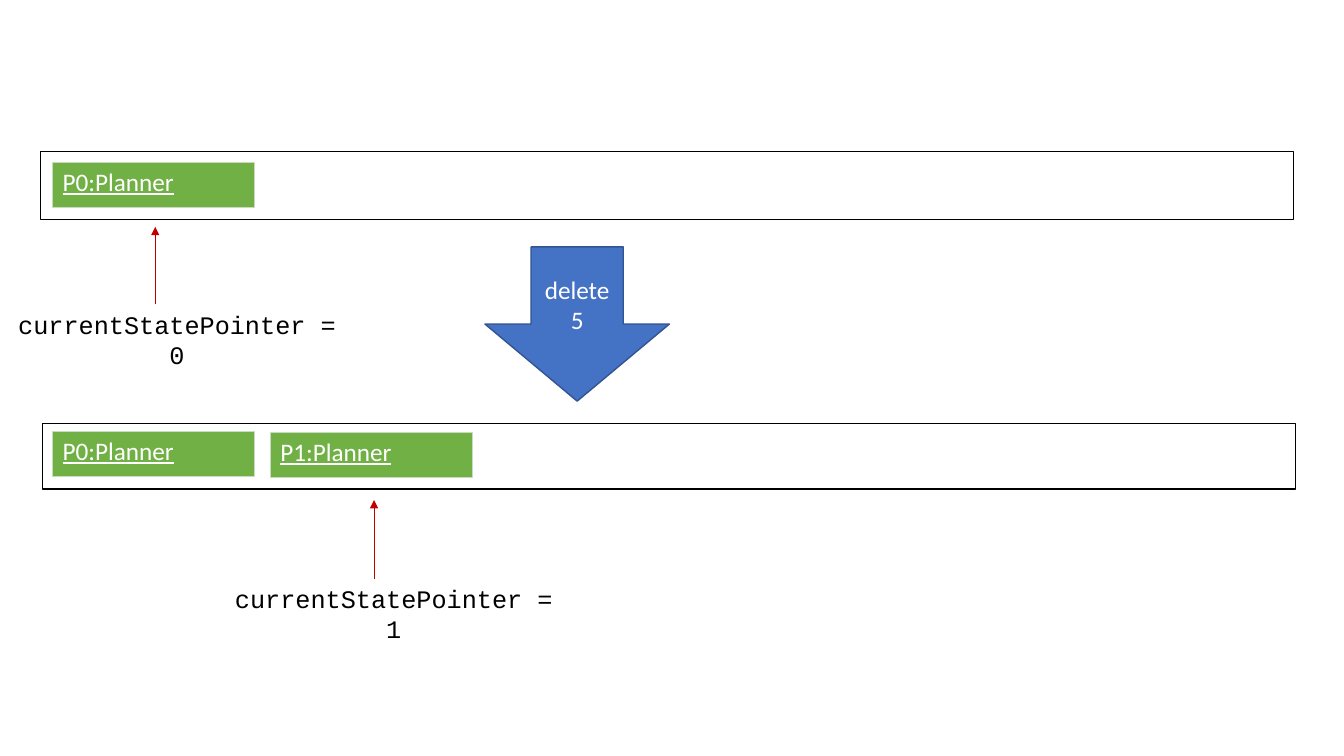
from dataclasses import dataclass

from lxml.etree import SubElement
from pptx import Presentation
from pptx.dml.color import RGBColor
from pptx.enum.shapes import MSO_CONNECTOR, MSO_SHAPE
from pptx.enum.text import MSO_ANCHOR, PP_ALIGN
from pptx.oxml.ns import qn
from pptx.util import Inches, Pt


@dataclass(frozen=True)
class Theme:
    body_font: str = "Calibri"
    code_font: str = "Courier New"
    text_size: float = 18
    black: str = "000000"
    white: str = "FFFFFF"
    state_fill: str = "70B044"
    state_border: str = "C9DBC1"
    command_fill: str = "4472C4"
    command_line: str = "325491"
    pointer: str = "C00000"
    line_width: float = 1
    thin_width: float = 0.5


class StateDiagram:
    def __init__(self, slide, theme):
        self.slide = slide
        self.theme = theme

    def style_text(self, paragraph, text, color, font_name, alignment):
        paragraph.text = text
        paragraph.alignment = alignment
        font = paragraph.font
        font.name = font_name
        font.size = Pt(self.theme.text_size)
        font.bold = False
        font.color.rgb = RGBColor.from_string(color)

    def shape(self, kind, box, line_color, fill_color=None):
        shape = self.slide.shapes.add_shape(kind, *map(Inches, box))
        shape.shadow.inherit = False
        if fill_color:
            shape.fill.solid()
            shape.fill.fore_color.rgb = RGBColor.from_string(fill_color)
        else:
            shape.fill.background()
        shape.line.color.rgb = RGBColor.from_string(line_color)
        shape.line.width = Pt(self.theme.line_width)
        return shape

    def list_frame(self, left, top, height):
        self.shape(MSO_SHAPE.RECTANGLE, (left, top, 12.43, height), self.theme.black)

    def command_arrow(self, text, left, top):
        theme = self.theme
        arrow = self.shape(MSO_SHAPE.DOWN_ARROW, (left, top, 1.83, 1.53),
                           theme.command_line, theme.command_fill)
        frame = arrow.text_frame
        frame.word_wrap = True
        frame.vertical_anchor = MSO_ANCHOR.MIDDLE
        self.style_text(frame.paragraphs[0], text, theme.white,
                        theme.body_font, PP_ALIGN.CENTER)

    def state(self, text, left, top):
        theme = self.theme
        table = self.slide.shapes.add_table(
            1, 1, Inches(left), Inches(top), Inches(2), Inches(0.45)).table
        table.first_row = False
        table.horz_banding = False
        cell = table.cell(0, 0)
        paragraph = cell.text_frame.paragraphs[0]
        self.style_text(paragraph, text, theme.white, theme.body_font, PP_ALIGN.LEFT)
        paragraph.font.underline = True
        # Borders come before the fill in the cell properties
        properties = cell._tc.get_or_add_tcPr()
        for side in ("a:lnL", "a:lnR", "a:lnT", "a:lnB"):
            border = SubElement(properties, qn(side), w=str(Pt(theme.thin_width)))
            fill = SubElement(border, qn("a:solidFill"))
            SubElement(fill, qn("a:srgbClr"), val=theme.state_border)
        cell.fill.solid()
        cell.fill.fore_color.rgb = RGBColor.from_string(theme.state_fill)

    def pointer_label(self, text, left, top):
        box = self.slide.shapes.add_textbox(
            Inches(left), Inches(top), Inches(3.51), Inches(0.4))
        box.text_frame.word_wrap = True
        self.style_text(box.text_frame.paragraphs[0], text, self.theme.black,
                        self.theme.code_font, PP_ALIGN.CENTER)

    def pointer_arrow(self, x, bottom, top):
        arrow = self.slide.shapes.add_connector(
            MSO_CONNECTOR.STRAIGHT, Inches(x), Inches(bottom), Inches(x), Inches(top))
        arrow.line.color.rgb = RGBColor.from_string(self.theme.pointer)
        arrow.line.width = Pt(self.theme.thin_width)
        SubElement(arrow.line._get_or_add_ln(), qn("a:tailEnd"), type="triangle")
        SubElement(arrow._element.spPr, qn("a:effectLst"))


presentation = Presentation()
presentation.slide_width = Inches(13.33)
presentation.slide_height = Inches(7.5)
slide = presentation.slides.add_slide(presentation.slide_layouts[6])
diagram = StateDiagram(slide, Theme())

# State list before the command
diagram.list_frame(0.4, 1.5, 0.68)
diagram.state("P0:Planner", 0.52, 1.61)
diagram.pointer_arrow(1.54, 3.02, 2.25)
diagram.pointer_label("currentStatePointer = 0", 0, 3.02)

# Command
diagram.command_arrow("delete 5", 4.81, 2.45)

# State list after the command
diagram.list_frame(0.42, 4.2, 0.65)
diagram.state("P0:Planner", 0.52, 4.28)
diagram.state("P1:Planner", 2.68, 4.29)
diagram.pointer_arrow(3.71, 5.74, 4.96)
diagram.pointer_label("currentStatePointer = 1", 2.15, 5.74)

presentation.save("out.pptx")
